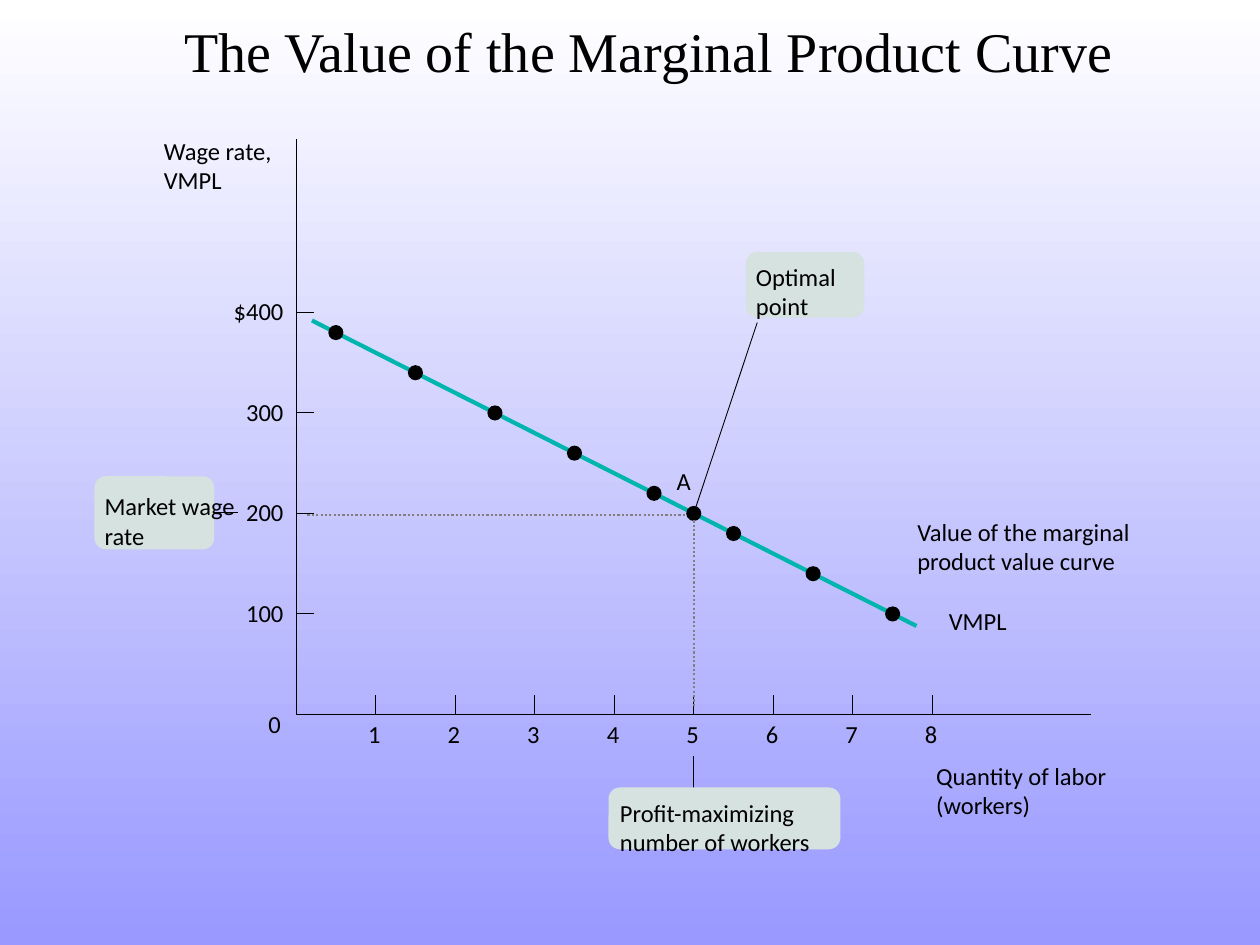
import pptx
import pptx.util
import pptx.dml.color
import pptx.enum.dml
import pptx.enum.shapes
import pptx.enum.text
import pptx.oxml
from pptx.util import Inches

HEX = {"ink": "000000", "curve": "00B5AD", "guide": "808080",
       "box": "D6E2E0", "top": "FFFFFF", "base": "9999FF"}
ALIGN = pptx.enum.text.PP_ALIGN
SHAPE = pptx.enum.shapes.MSO_SHAPE
DASH = pptx.enum.dml.MSO_LINE

LEFT, FLOOR = 2.35, 5.67
STEP = 5.05 / 8      # inches per worker
RISE = 3.19 / 400    # inches per dollar


def color(name):
    return pptx.dml.color.RGBColor.from_string(HEX[name])


def across(count):
    return LEFT + STEP * count


def height(wage):
    return FLOOR - RISE * wage


def value(count):
    """Value of the marginal product at a number of workers."""
    return 400 - 40 * count


class Board:
    font = "Calibri"
    size = 14

    def __init__(self, slide):
        self.slide = slide
        self.shapes = slide.shapes

    def back(self):
        fill = self.slide.background.fill
        fill.gradient()
        fill.gradient_angle = 270
        for stop, name in zip(fill.gradient_stops, ("top", "base")):
            stop.color.rgb = color(name)

    def title(self, words):
        shape = self.shapes.title
        shape.left, shape.top = Inches(0.36), Inches(0)
        shape.width, shape.height = Inches(9.58), Inches(0.8)
        frame = shape.text_frame
        frame.text = words
        frame.vertical_anchor = pptx.enum.text.MSO_ANCHOR.MIDDLE
        para = frame.paragraphs[0]
        para.alignment = ALIGN.CENTER
        self.style(para, "Times New Roman", 32)

    def style(self, para, font, size):
        para.font.name = font
        para.font.size = pptx.util.Pt(size)
        para.font.color.rgb = color("ink")

    def text(self, words, left, top, width, tall=0.23, align=ALIGN.LEFT):
        box = self.shapes.add_textbox(
            Inches(left), Inches(top), Inches(width), Inches(tall))
        frame = box.text_frame
        frame.margin_left = frame.margin_right = 0
        frame.margin_top = frame.margin_bottom = 0
        frame.word_wrap = tall > 0.23
        frame.text = words
        para = frame.paragraphs[0]
        para.alignment = align
        self.style(para, self.font, self.size)

    def line(self, start, end, name="ink", width=0.5, dash=None):
        link = self.shapes.add_connector(
            pptx.enum.shapes.MSO_CONNECTOR.STRAIGHT,
            *(Inches(part) for part in (*start, *end)))
        link.line.color.rgb = color(name)
        link.line.width = pptx.util.Pt(width)
        if dash:
            link.line.dash_style = dash
        props = link._element.spPr
        props.append(pptx.oxml.parse_xml(
            '<a:effectLst xmlns:a="http://schemas.openxmlformats.org/'
            'drawingml/2006/main"/>'))
        return link

    def solid(self, kind, name, left, top, width, tall):
        shape = self.shapes.add_shape(
            kind, Inches(left), Inches(top), Inches(width), Inches(tall))
        shape.shadow.inherit = False
        shape.fill.solid()
        shape.fill.fore_color.rgb = color(name)
        shape.line.fill.background()
        return shape

    def dot(self, count):
        self.solid(SHAPE.OVAL, "ink", across(count) - 0.06,
                   height(value(count)) - 0.06, 0.12, 0.12)

    def panel(self, left, top, width, tall):
        shape = self.solid(SHAPE.ROUNDED_RECTANGLE, "box",
                           left, top, width, tall)
        shape.adjustments[0] = 0.09 / tall
        return shape

    def axes(self):
        pen = self.shapes.build_freeform(Inches(8.66), Inches(FLOOR))
        pen.add_line_segments(
            [(Inches(LEFT), Inches(FLOOR)), (Inches(LEFT), Inches(1.1))],
            close=False)
        shape = pen.convert_to_shape()
        shape.shadow.inherit = False
        shape.fill.background()
        shape.line.color.rgb = color("ink")
        shape.line.width = pptx.util.Pt(0.5)


def main():
    deck = pptx.Presentation()
    deck.slide_width, deck.slide_height = Inches(10), Inches(7.5)
    board = Board(deck.slides.add_slide(deck.slide_layouts[5]))
    board.back()
    board.title("The Value of the Marginal Product Curve")

    # Curve and axes
    ends = [(across(count), height(value(count))) for count in (0.2, 7.8)]
    board.line(*ends, name="curve", width=2.38)
    board.axes()
    board.text("0", 2.13, 5.63, 0.12)
    for count in range(1, 9):
        spot = across(count)
        board.line((spot, 5.52), (spot, FLOOR))
        board.text(str(count), spot - 0.07, 5.71, 0.12, align=ALIGN.CENTER)
    for wage in range(100, 500, 100):
        level = height(wage)
        board.line((LEFT, level), (2.49, level))
        label = f"${wage}" if wage == 400 else str(wage)
        board.text(label, 1.8, level - 0.13, 0.45, align=ALIGN.RIGHT)
    for count in [half + 0.5 for half in range(8)] + [5]:
        board.dot(count)

    # Callouts
    best = across(5)
    board.line((best, 6.43), (best, 6))
    board.panel(4.83, 6.25, 1.84, 0.49)
    market = board.panel(0.75, 3.78, 0.95, 0.58)
    link = board.line((1.7, 4.07), (1.89, 4.07))
    link.begin_connect(market, 3)
    board.line((6.01, 2.56), (best, height(200)))
    board.panel(5.92, 2, 0.94, 0.52)
    board.line((best, 4.13), (best, 5.61), "guide", 1.25, DASH.ROUND_DOT)
    board.line((2.44, 4.09), (5.44, 4.09), "guide", 1.25, DASH.ROUND_DOT)

    # Labels
    board.text("A", 5.37, 3.7, 0.13)
    board.text("VMPL", 7.53, 4.81, 0.52)
    for words, left, top, width in (
            ("Wage rate, VMPL", 1.3, 1.08, 1.15),
            ("Value of the marginal product value curve", 7.28, 4.1, 1.69),
            ("Profit-maximizing number of workers", 4.92, 6.33, 1.91),
            ("Optimal point", 6, 2.08, 0.96),
            ("Market wage rate", 0.83, 3.9, 1.07),
            ("Quantity of labor (workers)", 7.43, 6.04, 1.9)):
        board.text(words, left, top, width, 0.47)

    deck.save("out.pptx")


if __name__ == "__main__":
    main()
